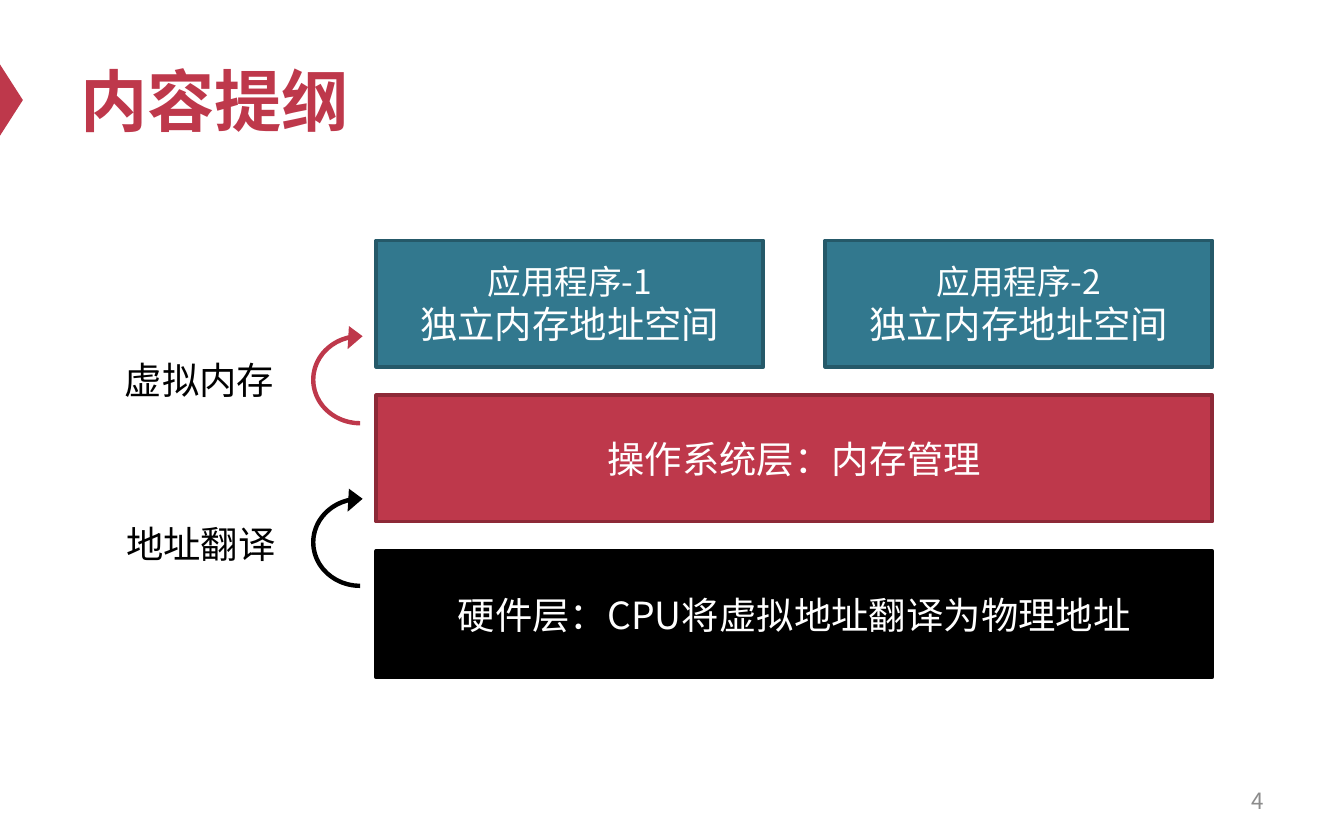
from lxml import etree
from pptx import Presentation
from pptx.dml.color import RGBColor
from pptx.enum.shapes import MSO_SHAPE
from pptx.enum.text import MSO_ANCHOR, PP_ALIGN
from pptx.oxml.ns import qn
from pptx.util import Inches, Pt

RECTANGLE, TRIANGLE = MSO_SHAPE.RECTANGLE, MSO_SHAPE.ISOSCELES_TRIANGLE
CIRCULAR_ARROW = MSO_SHAPE.CIRCULAR_ARROW
MIDDLE, TOP = MSO_ANCHOR.MIDDLE, MSO_ANCHOR.TOP
LEFT, CENTER, RIGHT = PP_ALIGN.LEFT, PP_ALIGN.CENTER, PP_ALIGN.RIGHT
CJK_FONT = "Noto Sans CJK SC"
COLORS = {
    "red": "BE384B", "dark_red": "8D2937",
    "teal": "32788E", "dark_teal": "255969",
    "black": "000000", "white": "FFFFFF", "gray": "8C8C8C",
}

prs = Presentation()
prs.slide_width, prs.slide_height = Inches(10), Inches(6.25)
slide = prs.slides.add_slide(prs.slide_layouts[6])


def write(shape, lines, color, font=CJK_FONT, align=LEFT, anchor=MIDDLE, bold=False, wrap=True):
    """Fill one paragraph with (text, point size) runs, separated by line breaks."""
    frame = shape.text_frame
    frame.word_wrap = wrap
    frame.vertical_anchor = anchor
    paragraph = frame.paragraphs[0]
    paragraph.alignment = align
    for index, (text, size) in enumerate(lines):
        if index:
            paragraph.add_line_break()
        run = paragraph.add_run()
        run.text = text
        run.font.size = Pt(size)
        run.font.bold = bold
        run.font.name = font
        run.font.color.rgb = RGBColor.from_string(COLORS[color])
        east_asian = etree.Element(qn("a:ea"), typeface=CJK_FONT)
        run.font._element.find(qn("a:latin")).addnext(east_asian)


def add_filled(preset, left, top, width, height, fill, outline=None):
    shape = slide.shapes.add_shape(preset, Inches(left), Inches(top), Inches(width), Inches(height))
    shape.shadow.inherit = False
    shape.fill.solid()
    shape.fill.fore_color.rgb = RGBColor.from_string(COLORS[fill])
    if outline:
        shape.line.color.rgb = RGBColor.from_string(COLORS[outline])
        shape.line.width = Pt(2)
    else:
        shape.line.fill.background()
    return shape


# Title with its edge marker, and the page number
marker = add_filled(TRIANGLE, -0.18, 0.66, 0.53, 0.17, "red")
marker.rotation = 90
title = slide.shapes.add_textbox(Inches(0.5), Inches(0.25), Inches(9), Inches(0.98))
write(title, [("内容提纲", 36)], "red", font="Arial", bold=True)
page_number = slide.shapes.add_textbox(Inches(7.17), Inches(5.79), Inches(2.33), Inches(0.33))
write(page_number, [("4", 12)], "gray", align=RIGHT)

# Layers of the memory system, bottom to top
STACK_LEFT, STACK_WIDTH, LAYER_HEIGHT = 2.8, 6.22, 0.94
APP_WIDTH = 2.88
APP_2_LEFT = STACK_LEFT + STACK_WIDTH - APP_WIDTH
OWN_SPACE = ("独立内存地址空间", 20)
layers = [
    (STACK_LEFT, 4.1, STACK_WIDTH, "black", "black", [("硬件层：CPU将虚拟地址翻译为物理地址", 20)]),
    (STACK_LEFT, 2.94, STACK_WIDTH, "red", "dark_red", [("操作系统层：内存管理", 20)]),
    (STACK_LEFT, 1.79, APP_WIDTH, "teal", "dark_teal", [("应用程序-1", 18), OWN_SPACE]),
    (APP_2_LEFT, 1.79, APP_WIDTH, "teal", "dark_teal", [("应用程序-2", 18), OWN_SPACE]),
]
for left, top, width, fill, outline, lines in layers:
    layer = add_filled(RECTANGLE, left, top, width, LAYER_HEIGHT, fill, outline)
    write(layer, lines, "white", align=CENTER)

# Mechanisms linking each layer to the one above it
ARROW_SHAPE = (0.04, 11.423, 206.559, 108, 0.105)
mechanisms = [
    ("地址翻译", 0.84, 3.83, 3.6, "black"),
    ("虚拟内存", 0.83, 2.61, 2.39, "red"),
]
for name, label_left, label_top, arrow_top, color in mechanisms:
    label = slide.shapes.add_textbox(Inches(label_left), Inches(label_top), Inches(1.32), Inches(0.44))
    write(label, [(name, 20)], "black", font="Arial", anchor=TOP, wrap=False)
    arrow = add_filled(CIRCULAR_ARROW, 2.27, arrow_top, 0.82, 0.87, color)
    arrow.rotation = 270
    for index, value in enumerate(ARROW_SHAPE):
        arrow.adjustments[index] = value

prs.save("out.pptx")
